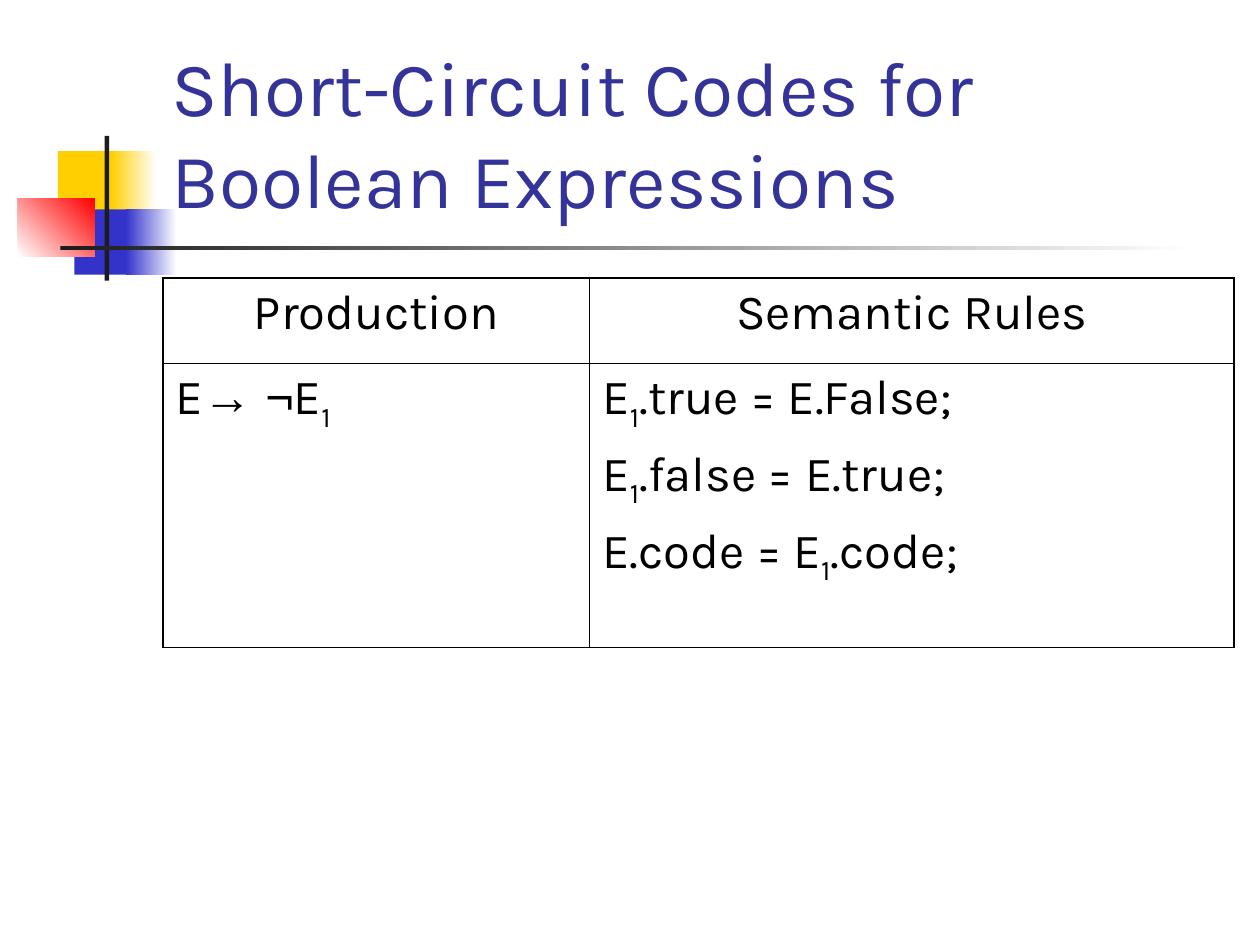
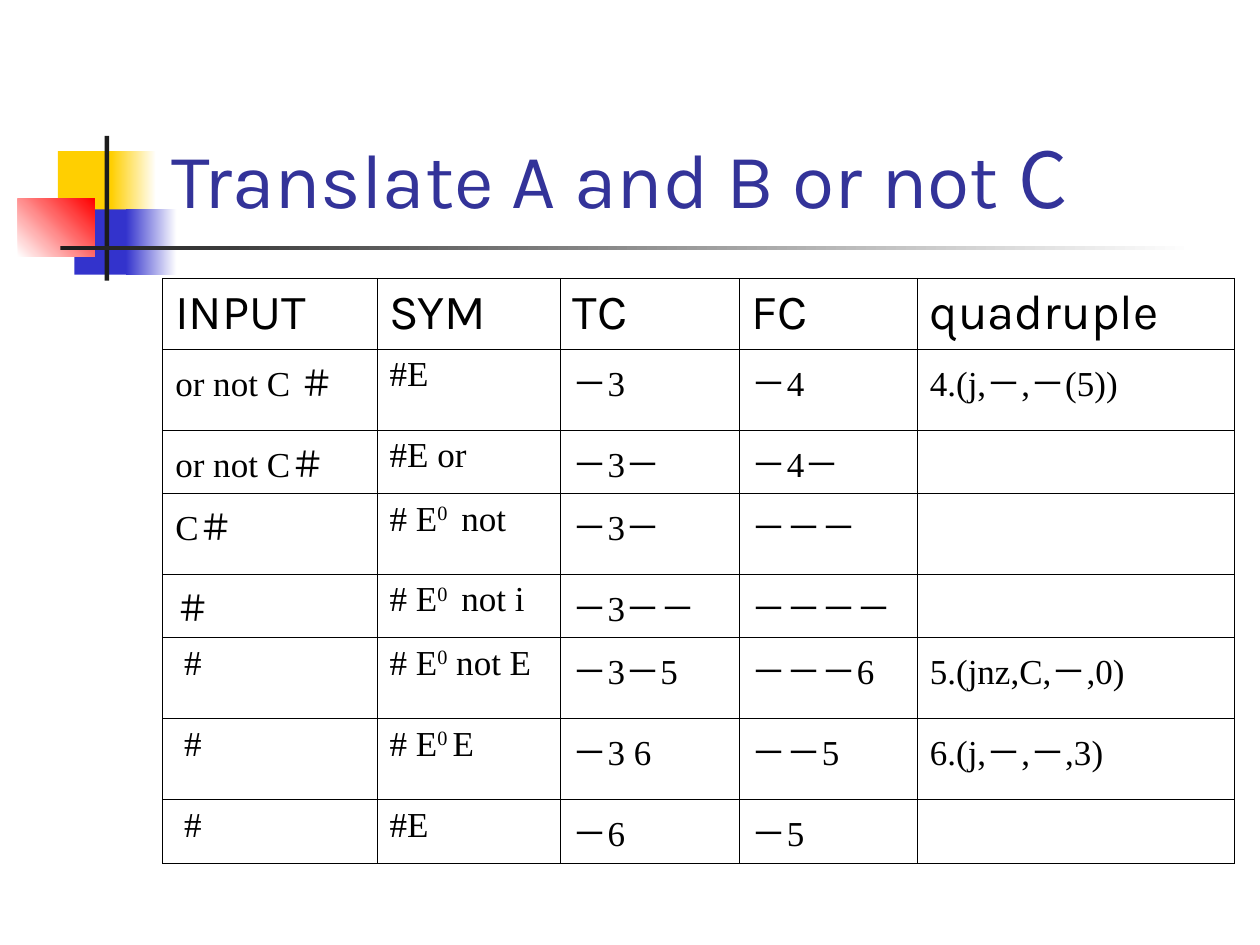
from lxml import etree
from pptx import Presentation
from pptx.dml.color import RGBColor
from pptx.enum.shapes import MSO_SHAPE
from pptx.enum.text import MSO_ANCHOR, MSO_AUTO_SIZE, PP_ALIGN
from pptx.oxml.ns import qn
from pptx.util import Cm, Pt

RECTANGLE = MSO_SHAPE.RECTANGLE
BOTTOM = MSO_ANCHOR.BOTTOM
NO_FIT = MSO_AUTO_SIZE.NONE
LEFT, CENTER = PP_ALIGN.LEFT, PP_ALIGN.CENTER

WHITE, BLACK, CHARCOAL = "FFFFFF", "000000", "1C1C1C"
YELLOW, BLUE, RED, NAVY = "FFCF01", "3333CC", "FF0000", "333399"
EAST_ASIAN = "Noto Sans CJK SC"

TITLE = {"name": "Karla", "size": Pt(44), "color": NAVY}
LARGE = {"name": "Karla", "size": Pt(28), "color": BLACK}
SMALL = {"name": "Times New Roman", "size": Pt(20), "color": BLACK}
THIN, THICK = Pt(0.45), Pt(1.08)

EMBLEM_BOX = (0.36, 2.74)
TITLE_BOX = (3.2, 0.58, 21.64, 4.06)
TABLE_BOX = (3.28, 5.61)

EMBLEM_PARTS = [
    (0.81, 0.31, 1.22, 1.32, [YELLOW], 0),
    (1.88, 0.31, 0.91, 1.32, [YELLOW, WHITE], 0),
    (1.14, 1.48, 1.17, 1.32, [BLUE], 0),
    (2.18, 1.48, 1.02, 1.32, [BLUE, WHITE], 0),
    (0, 1.27, 1.55, 1.17, [WHITE, RED], 45),
    (1.75, 0, 0.09, 2.92, [CHARCOAL], 0),
    (0.86, 2.21, 22.86, 0.09, [CHARCOAL, WHITE], 0),
]

SUB_ONE = ("1", {"baseline": -25000})
SUP_ZERO = ("0", {"baseline": 30000})
SUP_ZERO_SPACED = ("0 ", {"baseline": 30000})

RULES_ROWS = [
    [[["Production"]], [["Semantic Rules"]]],
    [
        [["E", ("→ ¬", {"name": "Arial"}), "E", SUB_ONE]],
        [
            ["E", SUB_ONE, ".true = E.False;"],
            ["E", SUB_ONE, ".false = E.true;"],
            ["E.code = E", SUB_ONE, ".code;"],
        ],
    ],
]

QUADRUPLE_ROWS = [
    ["INPUT", "SYM", "TC", "FC", "quadruple"],
    ["or not C ＃", "#E", "－3", "－4", "4.(j,－,－(5))"],
    ["or not C＃", "#E or", "－3－", "－4－", ""],
    ["C＃", [["# E", SUP_ZERO_SPACED, " not"]], "－3－", "－－－", ""],
    ["＃", [["# E", SUP_ZERO_SPACED, " not i"]], "－3－－", "－－－－", ""],
    [" #", [["# E", SUP_ZERO, " not E"]], "－3－5", "－－－6", "5.(jnz,C,－,0)"],
    [" #", [["# E", SUP_ZERO_SPACED, "E"]], "－3 6", "－－5", "6.(j,－,－,3)"],
    [" #", "#E", "－6", "－5", ""],
]


def color(hex_text):
    return RGBColor.from_string(hex_text)


def write_span(para, text, style):
    span = para.add_run()
    span.text = text
    for key, value in style.items():
        if key == "color":
            span.font.color.rgb = color(value)
        elif key != "baseline":
            setattr(span.font, key, value)
    properties = span._r.get_or_add_rPr()
    if "baseline" in style:
        properties.set("baseline", str(style["baseline"]))
    etree.SubElement(properties, qn("a:ea"), typeface=EAST_ASIAN)


def write_paragraphs(frame, paragraphs, style, align=LEFT):
    for index, parts in enumerate(paragraphs):
        para = frame.add_paragraph() if index else frame.paragraphs[0]
        para.alignment = align
        para.space_before = Pt(7 if index else 0)
        for part in parts:
            text, changes = (part, {}) if isinstance(part, str) else part
            write_span(para, text, {**style, **changes})


def add_emblem(page, layout, box):
    left, top = box
    for x, y, width, height, colors, angle in EMBLEM_PARTS:
        shape = page.shapes.add_shape(
            RECTANGLE, Cm(left + x), Cm(top + y), Cm(width), Cm(height))
        shape.shadow.inherit = False
        shape.line.fill.background()
        if len(colors) == 1:
            shape.fill.solid()
            shape.fill.fore_color.rgb = color(colors[0])
        else:
            shape.fill.gradient()
            shape.fill.gradient_angle = angle
            for stop, hex_text in zip(shape.fill.gradient_stops, colors):
                stop.color.rgb = color(hex_text)
        layout.shapes.element.append(shape.element)


def place_title(page, box, parts):
    title = page.shapes.title
    for key, value in zip(("left", "top", "width", "height"), box):
        setattr(title, key, Cm(value))
    settings = {"word_wrap": True, "auto_size": NO_FIT, "vertical_anchor": BOTTOM}
    for key, value in settings.items():
        setattr(title.text_frame, key, value)
    write_paragraphs(title.text_frame, [parts], TITLE)


def draw_borders(cell, widths):
    properties = cell._tc.get_or_add_tcPr()
    for side, width in zip("LRTB", widths):
        line = etree.SubElement(properties, qn(f"a:ln{side}"), w=str(int(width)))
        fill = etree.SubElement(line, qn("a:solidFill"))
        etree.SubElement(fill, qn("a:srgbClr"), val=BLACK)
    cell.fill.background()


def add_grid(page, box, columns, heights, rows, body_style, outer, header_align):
    left, top = box
    grid = page.shapes.add_table(
        len(rows), len(columns), Cm(left), Cm(top),
        Cm(sum(columns)), Cm(sum(heights))).table
    grid.first_row = grid.horz_banding = False
    for column, width in zip(grid.columns, columns):
        column.width = Cm(width)
    for row, height in zip(grid.rows, heights):
        row.height = Cm(height)
    last_row, last_column = len(rows) - 1, len(columns) - 1
    for r, row in enumerate(rows):
        for c, content in enumerate(row):
            cell = grid.cell(r, c)
            edges = (c == 0, c == last_column, r == 0, r == last_row)
            draw_borders(cell, [outer if edge else THIN for edge in edges])
            if content:
                paragraphs = [[content]] if isinstance(content, str) else content
                write_paragraphs(cell.text_frame, paragraphs,
                                 body_style if r else LARGE,
                                 LEFT if r else header_align)


def build_rules_page(page):
    place_title(page, TITLE_BOX, ["Short-Circuit Codes for Boolean Expressions"])
    add_grid(page, TABLE_BOX, [8.61, 12.98], [1.72, 5.72],
             RULES_ROWS, LARGE, THICK, CENTER)


def build_quadruple_page(page):
    place_title(page, TITLE_BOX,
                ["Translate A and B or not ", ("C", {"name": EAST_ASIAN})])
    add_grid(page, TABLE_BOX, [4.32, 3.69, 3.61, 3.59, 6.39],
             [1.43, 1.63, 1.17, 1.63, 1.17, 1.63, 1.63, 1.12],
             QUADRUPLE_ROWS, SMALL, THIN, LEFT)


def main():
    deck = Presentation()
    deck.slide_width, deck.slide_height = Cm(25.4), Cm(19.05)
    layout = deck.slide_layouts[5]
    pages = [deck.slides.add_slide(layout) for _ in range(2)]
    add_emblem(pages[0], layout, EMBLEM_BOX)
    build_rules_page(pages[0])
    build_quadruple_page(pages[1])
    deck.save("out.pptx")


if __name__ == "__main__":
    main()
